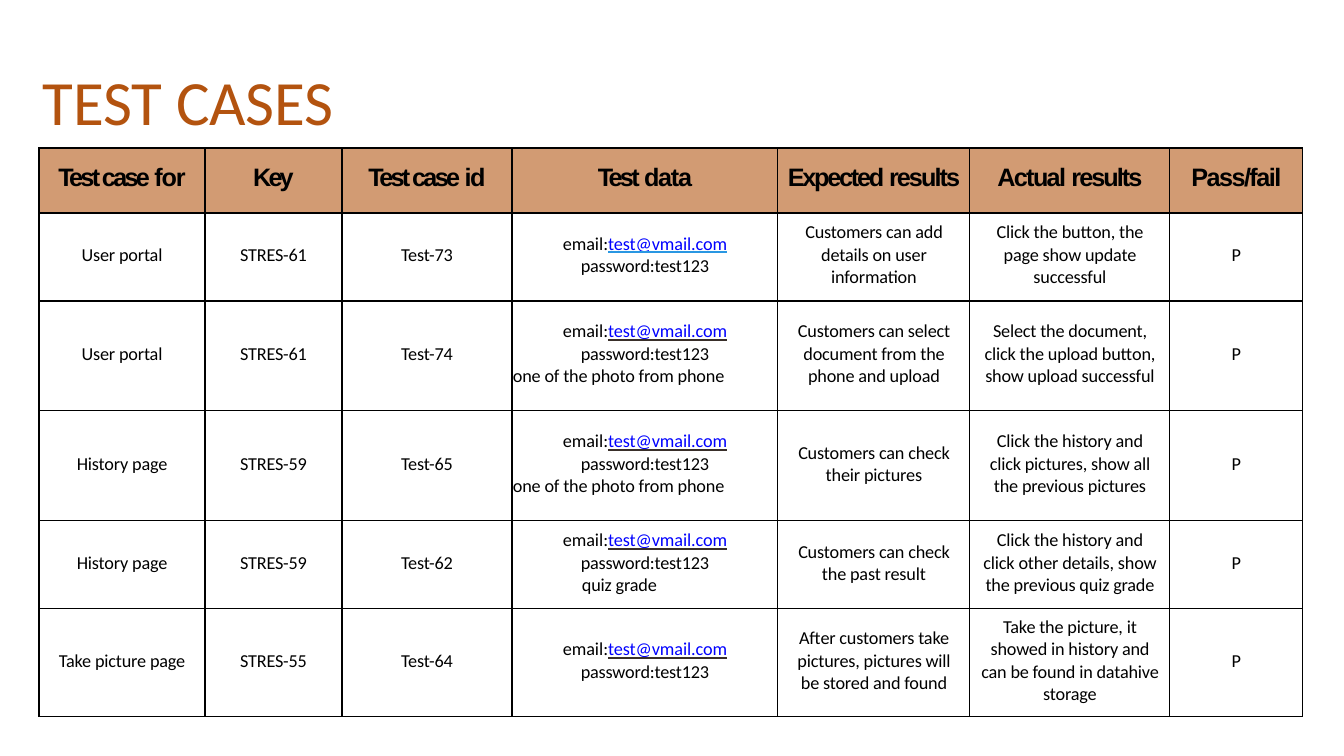
from lxml import etree
from pptx import Presentation
from pptx.dml.color import RGBColor as RGB
from pptx.enum.text import MSO_ANCHOR as ANCHOR, PP_ALIGN as ALIGN
from pptx.oxml.ns import qn
from pptx.util import Emu, Pt

COLORS = {
    "title": "B3530F", "header": "D29B73", "text": "000000", "border": "000000",
    "link": "0000FF", "link_blue": "2997E2", "link_dark": "392F2A",
}
FORMATS = {
    "title": {"name": "Calibri", "size": Pt(45)},
    "header": {"name": "Arial", "size": Pt(18), "bold": True},
    "body": {"name": "Calibri", "size": Pt(13), "bold": False},
    "link": {"name": "Calibri", "size": Pt(13), "bold": False, "underline": True},
}
COL_WIDTHS = [166, 137, 170, 266, 192, 200, 133]
ROW_HEIGHTS = [65, 88, 110, 110, 88, 108]
SIDE_MARGINS = {4: 14, 5: 10}
DATA_COL = 3

# Each header is a list of (text, letter spacing in hundredths of a point)
HEADERS = [
    [("Test case ", -190), ("for", -80)],
    [("Key", -200)],
    [("Test case ", -190), ("id", -100)],
    [("Test ", -190), ("data", -90)],
    [("Expected ", -160), ("results", -140)],
    [("Actual ", -120), ("results", -140)],
    [("Pass/fail", -110)],
]
# Test data holds the extra line below the login and its left indent
PHOTO = ("one of the photo from phone", 1)
QUIZ = ("quiz grade", 70)
CASES = [
    ("User portal", "STRES-61", "Test-73", None,
     "Customers can add details on user information",
     "Click the button, the page show update successful", "P"),
    ("User portal", "STRES-61", "Test-74", PHOTO,
     "Customers can select document from the phone and upload",
     "Select the document, click the upload button, show upload successful", "P"),
    ("History page", "STRES-59", "Test-65", PHOTO,
     "Customers can check their pictures",
     "Click the history and click pictures, show all the previous pictures", "P"),
    ("History page", "STRES-59", "Test-62", QUIZ,
     "Customers can check the past result",
     "Click the history and click other details, show the previous quiz grade", "P"),
    ("Take picture page", "STRES-55", "Test-64", None,
     "After customers take pictures, pictures will be stored and found",
     "Take the picture, it showed in history and can be found in datahive storage", "P"),
]


def px(n):
    return Emu(round(n * 914400 / 100.8))


def add_solid_fill(parent, color):
    fill = etree.SubElement(parent, qn("a:solidFill"))
    etree.SubElement(fill, qn("a:srgbClr"), val=COLORS[color])


def add_run(p, text, style, color="text", spacing=-10):
    r = p.add_run()
    r.text = text
    for name, value in FORMATS[style].items():
        setattr(r.font, name, value)
    r.font.color.rgb = RGB.from_string(COLORS[color])
    r._r.get_or_add_rPr().set("spc", str(spacing))
    return r


def color_underline(r, color):
    rPr = r._r.get_or_add_rPr()
    line = etree.Element(qn("a:uFill"))
    add_solid_fill(line, color)
    rPr.find(qn("a:latin")).addprevious(line)


def set_borders(cell):
    tcPr = cell._tc.get_or_add_tcPr()
    for i, side in enumerate(("lnL", "lnR", "lnT", "lnB")):
        ln = etree.Element(qn(f"a:{side}"), w=str(Pt(1)))
        add_solid_fill(ln, "border")
        tcPr.insert(i, ln)


def format_cell(cell, side=0, bottom=4, fill=None):
    margins = {"margin_left": side, "margin_right": side,
               "margin_top": 0, "margin_bottom": bottom}
    for name, value in margins.items():
        setattr(cell, name, px(value))
    cell.vertical_anchor = ANCHOR.MIDDLE
    if fill:
        cell.fill.solid()
        cell.fill.fore_color.rgb = RGB.from_string(COLORS[fill])
    else:
        cell.fill.background()
    set_borders(cell)
    cell.text_frame.paragraphs[0].alignment = ALIGN.CENTER


def fill_test_data(tf, extra, underline):
    """Write the login lines and, when given, one indented line below them."""
    p = tf.paragraphs[0]
    add_run(p, "email:", "body", spacing=0)
    color_underline(add_run(p, "test@vmail.com", "link", "link", -5), underline)
    p = tf.add_paragraph()
    p.alignment = ALIGN.CENTER
    add_run(p, "password:test123", "body")
    if extra:
        text, indent = extra
        p = tf.add_paragraph()
        p.alignment = ALIGN.LEFT
        p._p.get_or_add_pPr().set("marL", str(px(indent)))
        add_run(p, text, "body")


def add_title(s):
    tf = s.shapes.add_textbox(px(43), px(62), px(294), px(79)).text_frame
    for side in ("left", "right", "top", "bottom"):
        setattr(tf, f"margin_{side}", 0)
    tf.word_wrap = True
    p = tf.paragraphs[0]
    add_run(p, "TEST ", "title", "title", -20)
    add_run(p, "CASES", "title", "title", -10)


def add_case_table(s):
    frame = s.shapes.add_table(len(ROW_HEIGHTS), len(COL_WIDTHS), px(39), px(148),
                               px(sum(COL_WIDTHS)), px(sum(ROW_HEIGHTS)))
    table = frame.table
    table.first_row = table.horz_banding = False
    for col, width in zip(table.columns, COL_WIDTHS):
        col.width = px(width)
    for row, height in zip(table.rows, ROW_HEIGHTS):
        row.height = px(height)
    for c, parts in enumerate(HEADERS):
        cell = table.cell(0, c)
        format_cell(cell, bottom=6, fill="header")
        for text, spacing in parts:
            add_run(cell.text_frame.paragraphs[0], text, "header", spacing=spacing)
    for r, case in enumerate(CASES, 1):
        for c, value in enumerate(case):
            cell = table.cell(r, c)
            format_cell(cell, SIDE_MARGINS.get(c, 0))
            if c == DATA_COL:
                underline = "link_blue" if r == 1 else "link_dark"
                fill_test_data(cell.text_frame, value, underline)
            else:
                add_run(cell.text_frame.paragraphs[0], value, "body")


def main():
    prs = Presentation()
    prs.slide_width, prs.slide_height = px(1344), px(756)
    s = prs.slides.add_slide(prs.slide_layouts[6])
    add_case_table(s)
    add_title(s)
    prs.save("out.pptx")


if __name__ == "__main__":
    main()
